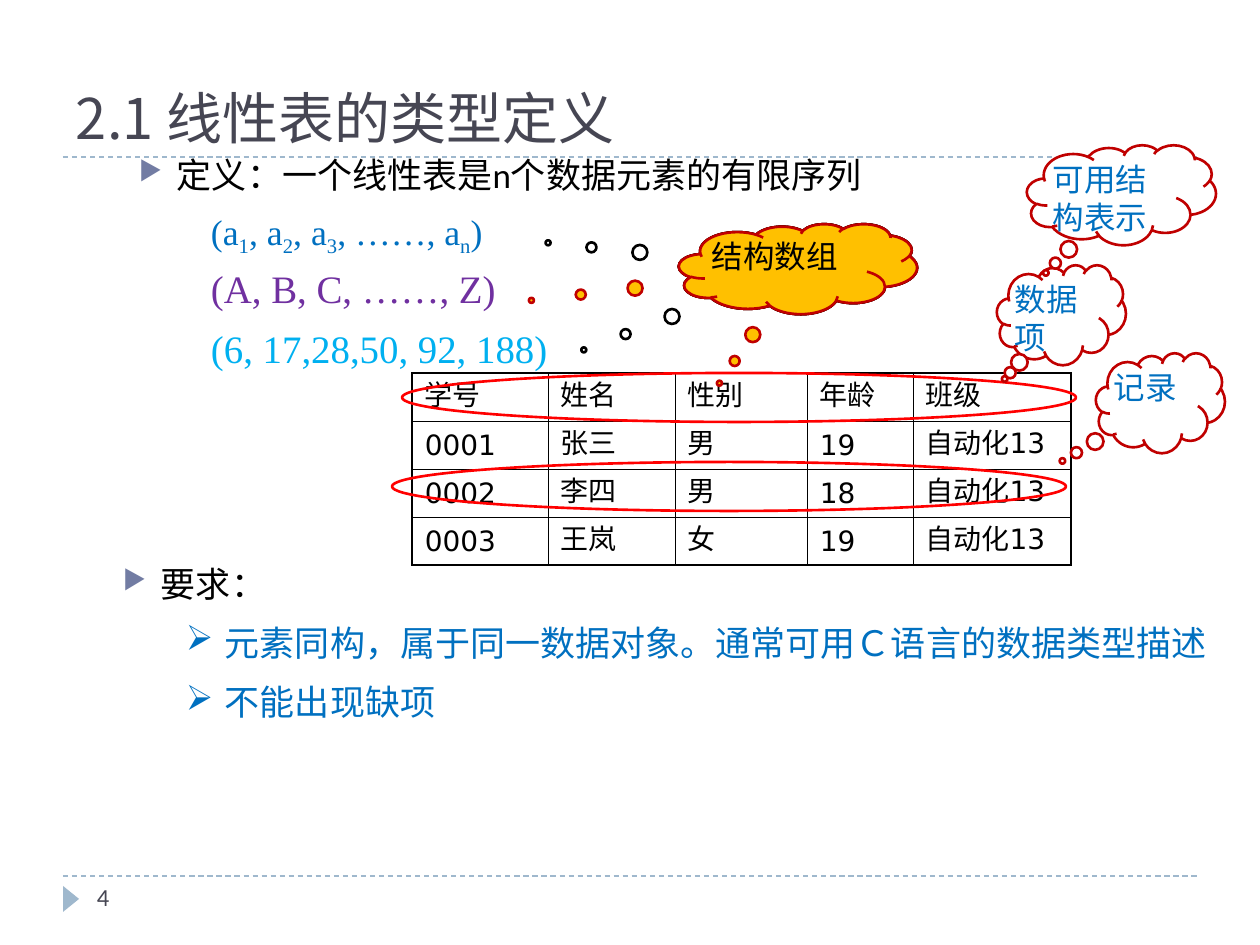
from lxml import etree
from pptx import Presentation
from pptx.dml.color import RGBColor
from pptx.enum.dml import MSO_LINE
from pptx.enum.shapes import MSO_CONNECTOR, MSO_SHAPE
from pptx.enum.text import MSO_ANCHOR, PP_ALIGN
from pptx.oxml.ns import qn
from pptx.util import Emu, Pt

PX = 914400 // 126
STRAIGHT = MSO_CONNECTOR.STRAIGHT
CLOUD, ELLIPSE, TRIANGLE = MSO_SHAPE.CLOUD_CALLOUT, MSO_SHAPE.OVAL, MSO_SHAPE.ISOSCELES_TRIANGLE
TOP, BOTTOM = MSO_ANCHOR.TOP, MSO_ANCHOR.BOTTOM
LEFT = PP_ALIGN.LEFT
DASH = MSO_LINE.DASH

SANS, CHINESE, SERIF, TABLE_FONT = "Calibri", "Noto Sans CJK SC", "Times New Roman", "DejaVu Sans"
BLACK, WHITE, SLATE, PALE_BLUE = "000000", "FFFFFF", "464653", "9FB8CD"
BLUE, DARK_RED, RED, GOLD = "0070C0", "C00000", "FF0000", "FFC000"
PURPLE, SKY, BULLET_BLUE = "7030A0", "00B0F0", "727CA3"


def px(value):
    return Emu(value * PX)


def color(value):
    return RGBColor.from_string(value)


def add_run(paragraph, text, size, font, text_color, baseline=0):
    run = paragraph.add_run()
    run.text = text
    run.font.size = Pt(size)
    run.font.color.rgb = color(text_color)
    run.font.name = font
    properties = run._r.get_or_add_rPr()
    etree.SubElement(properties, qn("a:ea"), typeface=CHINESE)
    if baseline:
        properties.set("baseline", str(baseline))


def set_bullet(paragraph, character, bullet_color, indent, hanging, percent=100):
    properties = paragraph._p.get_or_add_pPr()
    properties.set("marL", str(px(indent)))
    properties.set("indent", str(px(-hanging)))
    bullet = etree.SubElement(properties, qn("a:buClr"))
    etree.SubElement(bullet, qn("a:srgbClr"), val=bullet_color)
    etree.SubElement(properties, qn("a:buSzPct"), val=str(percent * 1000))
    etree.SubElement(properties, qn("a:buChar"), char=character)


def add_text_box(slide, box, anchor=TOP, margins=(13, 6)):
    """Add an empty wrapping text box and return its text frame."""
    frame = slide.shapes.add_textbox(*map(px, box)).text_frame
    frame.word_wrap = True
    frame.vertical_anchor = anchor
    frame.margin_left = frame.margin_right = px(margins[0])
    frame.margin_top = frame.margin_bottom = px(margins[1])
    return frame


def add_shape(slide, kind, box, fill=None, line=None):
    shape = slide.shapes.add_shape(kind, *map(px, box))
    shape.shadow.inherit = False
    if fill:
        shape.fill.solid()
        shape.fill.fore_color.rgb = color(fill)
    else:
        shape.fill.background()
    if line:
        shape.line.color.rgb = color(line)
        shape.line.width = Pt(1.5)
    else:
        shape.line.fill.background()
    return shape


def add_dashed_rule(slide, left, top, width):
    rule = slide.shapes.add_connector(STRAIGHT, px(left), px(top), px(left + width), px(top))
    rule.line.color.rgb = color(PALE_BLUE)
    rule.line.width = Pt(0.75)
    rule.line.dash_style = DASH
    etree.SubElement(rule._element.spPr, qn("a:effectLst"))


def add_title(slide, left, top, width, height):
    add_dashed_rule(slide, left, top + height, width)
    frame = add_text_box(slide, (left, top, width, height), BOTTOM)
    add_run(frame.paragraphs[0], "2.1 线性表的类型定义", 32, CHINESE, SLATE)


def add_footer(slide, left, top, width):
    add_dashed_rule(slide, left, top, width)
    marker = add_shape(slide, TRIANGLE, (left - 5, top + 15, 26, 16), PALE_BLUE)
    marker.rotation = 90
    frame = add_text_box(slide, (left + 21, top, 273, 50))
    add_run(frame.paragraphs[0], "4", 14, SANS, SLATE)


def add_definition(slide, left, top, width):
    paragraph = add_text_box(slide, (left, top, width, 68)).paragraphs[0]
    set_bullet(paragraph, "▶", BULLET_BLUE, 38, 38, 76)
    add_run(paragraph, "定义：一个线性表是n个数据元素的有限序列", 20, SANS, BLACK)

    subscripted = [("(a", "1"), (", a", "2"), (", a", "3"), (", ……, a", "n"), (")", "")]
    examples = [
        (subscripted, 20.4, BLUE),
        ([("(A, B, C, ……, Z)", "")], 22.2, PURPLE),
        ([("(6, 17,28,50, 92, 188)", "")], 22.2, SKY),
    ]
    for row, (parts, size, text_color) in enumerate(examples):
        box = (left + 72, top + 57 + 60 * row, 397, 63)
        paragraph = add_text_box(slide, box).paragraphs[0]
        paragraph.line_spacing = 0.9
        for text, subscript in parts:
            add_run(paragraph, text, size, SERIF, text_color)
            if subscript:
                add_run(paragraph, subscript, size, SERIF, text_color, -25000)


def set_borders(cell, outer_sides):
    """Draw heavy lines on the outer sides of the table and thin ones elsewhere."""
    properties = cell._tc.get_or_add_tcPr()
    for index, side in enumerate("LRTB"):
        points = 1.08 if side in outer_sides else 0.45
        border = etree.Element(qn("a:ln" + side), w=str(Pt(points)))
        fill = etree.SubElement(border, qn("a:solidFill"))
        etree.SubElement(fill, qn("a:srgbClr"), val=BLACK)
        properties.insert(index, border)


def add_student_table(slide, left, top):
    widths, row_height = [136, 127, 132, 106, 158], 48
    records = [
        ("学号", "姓名", "性别", "年龄", "班级"),
        ("0001", "张三", "男", "19", "自动化13"),
        ("0002", "李四", "男", "18", "自动化13"),
        ("0003", "王岚", "女", "19", "自动化13"),
    ]
    last_row, last_column = len(records) - 1, len(widths) - 1
    box = (left, top, sum(widths), row_height * len(records))
    table = slide.shapes.add_table(len(records), len(widths), *map(px, box)).table
    for column, width in zip(table.columns, widths):
        column.width = px(width)
    for r, record in enumerate(records):
        table.rows[r].height = px(row_height)
        for c, text in enumerate(record):
            cell = table.cell(r, c)
            cell.margin_left = cell.margin_right = px(13)
            cell.margin_top = cell.margin_bottom = px(6)
            cell.fill.solid()
            cell.fill.fore_color.rgb = color(WHITE)
            edges = {"L": c == 0, "R": c == last_column, "T": r == 0, "B": r == last_row}
            set_borders(cell, [side for side, outer in edges.items() if outer])
            paragraph = cell.text_frame.paragraphs[0]
            paragraph.line_spacing = Pt(20)
            add_run(paragraph, text, 16, TABLE_FONT, BLACK)
    for x, y in [(left - 10, top), (left - 20, top + 89)]:
        add_shape(slide, ELLIPSE, (x, y, 674, 49), line=RED)


def add_requirements(slide, left, top, width, height):
    frame = add_text_box(slide, (left, top, width, height), margins=(0, 0))
    heading = frame.paragraphs[0]
    set_bullet(heading, "▶", BULLET_BLUE, 38, 38, 76)
    add_run(heading, "要求：", 20, SANS, BLACK)
    for text in ("元素同构，属于同一数据对象。通常可用Ｃ语言的数据类型描述", "不能出现缺项"):
        paragraph = frame.add_paragraph()
        paragraph.level = 1
        paragraph.line_spacing = Pt(34)
        set_bullet(paragraph, "➢", BLUE, 102, 39)
        add_run(paragraph, text, 20, SANS, BLUE)


def add_cloud(slide, box, tail, text="", fill=WHITE, line=DARK_RED, text_color=BLUE):
    cloud = add_shape(slide, CLOUD, box, fill, line)
    cloud.adjustments[0], cloud.adjustments[1] = tail
    frame = cloud.text_frame
    frame.word_wrap = True
    frame.vertical_anchor = TOP
    frame.margin_left = frame.margin_right = frame.margin_top = frame.margin_bottom = 0
    if text:
        frame.paragraphs[0].alignment = LEFT
        add_run(frame.paragraphs[0], text, 18, SANS, text_color)


def add_array_clouds(slide, box):
    """Stack one cloud for each trail of bubbles; only the front one has text."""
    add_cloud(slide, box, (-1.05, -0.29), line=BLACK)
    add_cloud(slide, box, (-1.12, 0.35), fill=GOLD)
    add_cloud(slide, box, (-0.9, 0.9), line=BLACK)
    add_cloud(slide, box, (-0.33, 1.27), "结构数组", GOLD, text_color=BLACK)


def main():
    presentation = Presentation()
    presentation.slide_width, presentation.slide_height = px(1260), px(945)
    slide = presentation.slides.add_slide(presentation.slide_layouts[6])
    add_title(slide, 63, 21, 1134, 136)
    add_footer(slide, 63, 876, 1134)
    add_definition(slide, 126, 147, 1060)
    add_student_table(slide, 412, 373)
    add_requirements(slide, 123, 562, 1101, 287)
    add_cloud(slide, (997, 265, 129, 100), (-0.44, 0.64), "数据项")
    add_cloud(slide, (1096, 353, 129, 100), (-0.76, 0.58), "记录")
    add_array_clouds(slide, (679, 224, 238, 90))
    add_cloud(slide, (1027, 145, 189, 100), (-0.4, 0.78), "可用结构表示")
    presentation.save("out.pptx")


if __name__ == "__main__":
    main()
